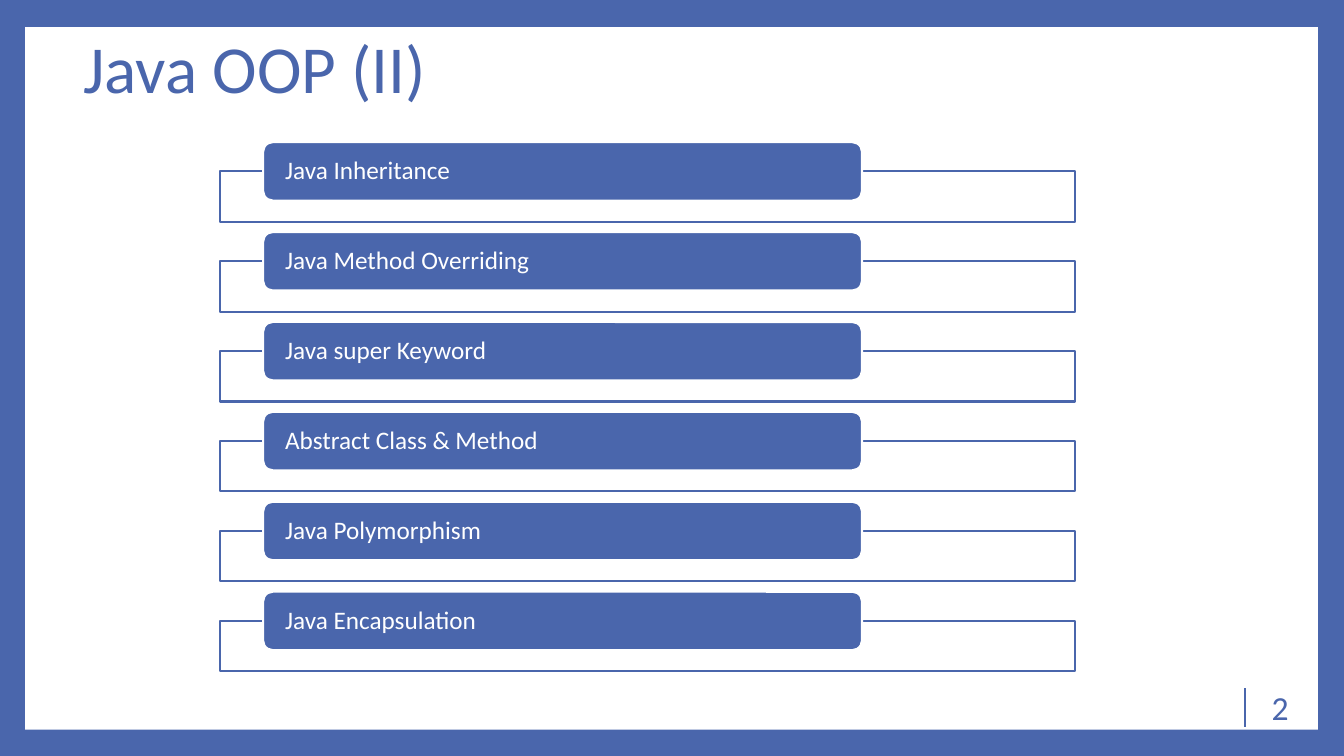
"""Builds the Java OOP (II) agenda slide with six framed topics."""
import pptx
import pptx.util
import pptx.dml.color
import pptx.enum.shapes
import pptx.enum.text
import lxml.etree
from pptx.oxml.ns import qn

BLUE = pptx.dml.color.RGBColor(0x4A, 0x66, 0xAC)
WHITE = pptx.dml.color.RGBColor(0xFF, 0xFF, 0xFF)
SHAPES = pptx.enum.shapes.MSO_SHAPE
ALIGN = pptx.enum.text.PP_ALIGN
Inches = pptx.util.Inches
Pt = pptx.util.Pt

WIDTH, HEIGHT = 13.33, 7.5
FIRST_TOP, LAST_TOP = 1.41, 5.87
FRAME_DROP = 0.29
TOPICS = [
    "Java Inheritance",
    "Java Method Overriding",
    "Java super Keyword",
    "Abstract Class & Method",
    "Java Polymorphism",
    "Java Encapsulation",
]
ROW = (LAST_TOP - FIRST_TOP) / (len(TOPICS) - 1)

deck = pptx.Presentation()
deck.slide_width, deck.slide_height = Inches(WIDTH), Inches(HEIGHT)
page = deck.slides.add_slide(deck.slide_layouts[6])
page.background.fill.solid()
page.background.fill.fore_color.rgb = BLUE


def add_box(kind, left, top, width, height, fill, line=None):
    box = page.shapes.add_shape(
        kind, Inches(left), Inches(top), Inches(width), Inches(height))
    box.shadow.inherit = False
    box.fill.solid()
    box.fill.fore_color.rgb = fill
    if line is None:
        box.line.fill.background()
    else:
        box.line.color.rgb = line
        box.line.width = Pt(1.5)
    return box


def write(box, text, size, color, align=ALIGN.LEFT, spacing=1.0):
    frame = box.text_frame
    frame.word_wrap = True
    frame.vertical_anchor = pptx.enum.text.MSO_ANCHOR.MIDDLE
    para = frame.paragraphs[0]
    para.alignment = align
    para.line_spacing = spacing
    span = para.add_run()
    span.text = text
    span.font.name = "Calibri"
    span.font.size = Pt(size)
    span.font.color.rgb = color


add_box(SHAPES.RECTANGLE, 0.25, 0.27, 12.82, 6.97, WHITE)

divider = page.shapes.add_connector(
    pptx.enum.shapes.MSO_CONNECTOR.STRAIGHT,
    Inches(12.35), Inches(6.83), Inches(12.35), Inches(7.21))
divider.line.color.rgb = BLUE
divider.line.width = Pt(1.5)
lxml.etree.SubElement(divider._element.spPr, qn("a:effectLst"))

title = page.shapes.add_textbox(Inches(0.73), Inches(0.2), Inches(10.8), Inches(1.02))
write(title, "Java OOP (II)", 48, BLUE, spacing=0.9)

number = page.shapes.add_textbox(Inches(11.01), Inches(6.81), Inches(1.87), Inches(0.4))
write(number, "2", 24, BLUE, ALIGN.RIGHT)

for index, topic in enumerate(TOPICS):
    top = FIRST_TOP + index * ROW
    frame = add_box(SHAPES.RECTANGLE, 2.18, top + FRAME_DROP, 8.48, 0.5, WHITE, BLUE)
    tint = frame.fill._xPr.find(qn("a:solidFill"))[0]
    lxml.etree.SubElement(tint, qn("a:alpha")).set("val", "90000")

    label = add_box(SHAPES.ROUNDED_RECTANGLE, 2.61, top, 5.94, 0.58, BLUE, WHITE)
    label.text_frame.margin_left = label.text_frame.margin_right = Inches(0.19)
    label.text_frame.margin_top = label.text_frame.margin_bottom = 0
    write(label, topic, 18, WHITE, spacing=0.9)

deck.save("out.pptx")
